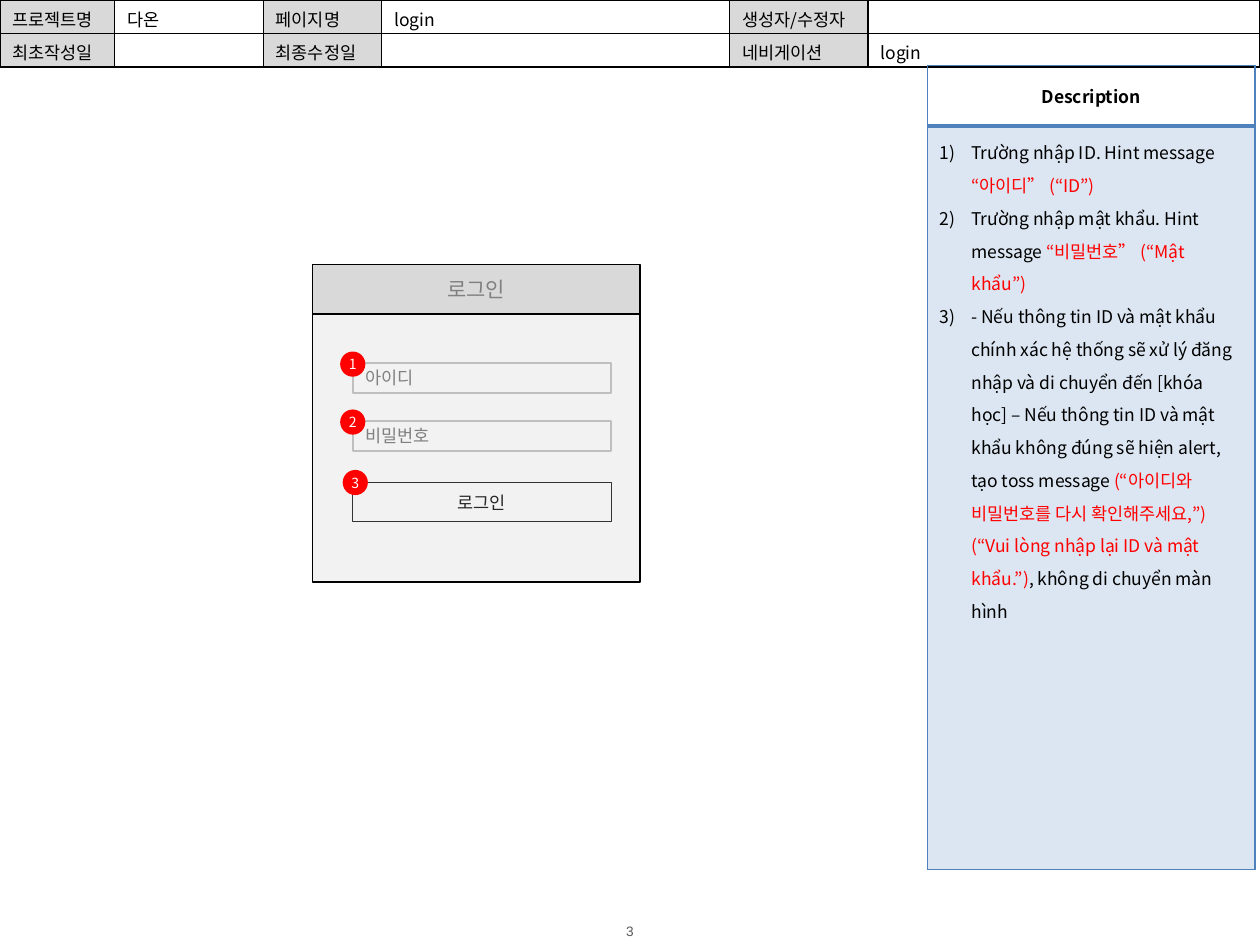
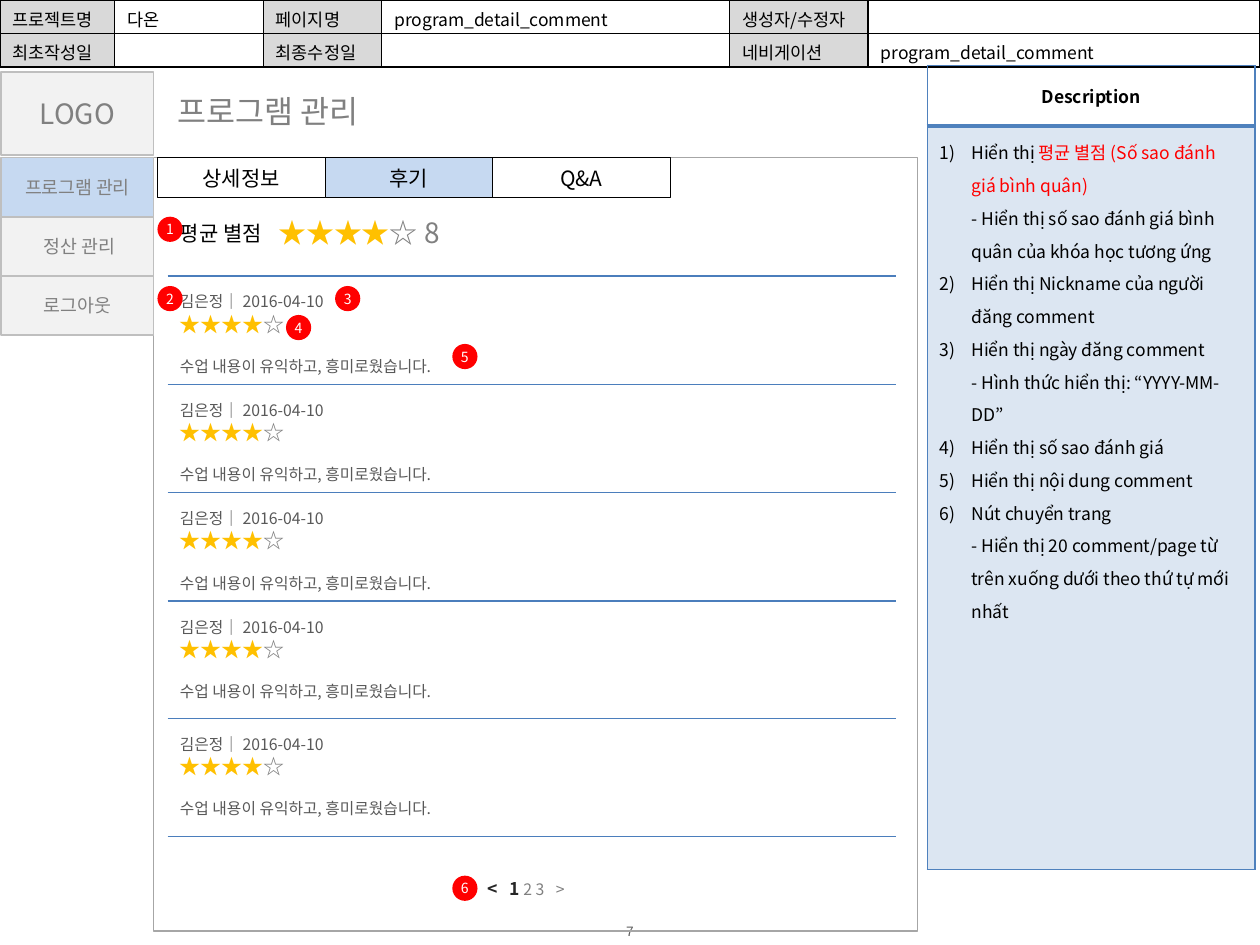
from lxml import etree
from pptx import Presentation
from pptx.dml.color import RGBColor
from pptx.enum.shapes import MSO_CONNECTOR, MSO_SHAPE
from pptx.enum.text import MSO_ANCHOR, PP_ALIGN
from pptx.oxml.ns import qn
from pptx.util import Inches, Pt

RECT, OVAL = MSO_SHAPE.RECTANGLE, MSO_SHAPE.OVAL
LINE = MSO_CONNECTOR.STRAIGHT
LEFT, MID = PP_ALIGN.LEFT, PP_ALIGN.CENTER
CENTRE = MSO_ANCHOR.MIDDLE

WIDTH, HEIGHT = Inches(10), Inches(7.5)
COL, ROW = WIDTH / 100, HEIGHT / 75
FONT = "Noto Sans CJK KR"
PLAIN = "{2D5ABB26-0587-4C30-8999-92F81FD0307C}"

BLACK, WHITE, RED, GOLD = "000000", "FFFFFF", "FF0000", "FFC000"
DARK, SLATE, GREY, SILVER = "262626", "595959", "808080", "BFBFBF"
HEAD, PALE, ACTIVE = "D9D9D9", "F2F2F2", "C6D9F1"
BLUE, TINT, RULE = "4F81BD", "DCE6F2", "4B7EBC"

HEAD_COLS = 9.1, 11.8, 9.4, 27.6, 11, 31.1
NOTE_BOX = 73.6, 5.2, 26, 63.8


def rgb(code):
    return RGBColor.from_string(code)


def place(x, y, w, h):
    """Turn grid columns and rows into slide lengths."""
    return round(x * COL), round(y * ROW), round(w * COL), round(h * ROW)


def ink(font, size=None, hue=None, bold=None, face=None, gap=None):
    if size:
        font.size = Pt(size)
    if hue:
        font.color.rgb = rgb(hue)
    if bold is not None:
        font.bold = bold
    if face:
        font.name = face
        etree.SubElement(font._element, qn("a:ea"), typeface=FONT)
    if gap:
        font._element.set("spc", str(gap))


def write(para, parts, size, hue, bold=False, face=FONT, align=LEFT):
    """Fill a paragraph with a string or with (text, style) parts."""
    para.alignment = align
    ink(para.font, size, hue, bold, face)
    if not parts:
        etree.SubElement(para._p, qn("a:endParaRPr"), sz=str(size * 100))
        return
    for text, style in [(parts, {})] if isinstance(parts, str) else parts:
        for i, line in enumerate(text.split("\n")):
            if i:
                para.add_line_break()
            if line:
                run = para.add_run()
                run.text = line
                ink(run.font, **style)


def block(slide, box, text="", size=10, hue=GREY, fill=None, line=None,
          weight=1, kind=RECT, **style):
    shape = slide.shapes.add_shape(kind, *place(*box))
    shape.shadow.inherit = False
    if fill:
        shape.fill.solid()
        shape.fill.fore_color.rgb = rgb(fill)
    else:
        shape.fill.background()
    if line:
        shape.line.color.rgb = rgb(line)
        shape.line.width = Pt(weight)
    else:
        shape.line.fill.background()
    if text:
        shape.text_frame.vertical_anchor = CENTRE
        write(shape.text_frame.paragraphs[0], text, size, hue, **style)
    return shape


def trim(frame):
    frame.margin_left = frame.margin_right = 0
    frame.margin_top = frame.margin_bottom = 0


def label(slide, box, parts, size, hue, wrap=True, **style):
    frame = slide.shapes.add_textbox(*place(*box)).text_frame
    frame.word_wrap = wrap
    write(frame.paragraphs[0], parts, size, hue, **style)
    return frame


def badges(slide, x, y, spots):
    """Number the spots, which are offsets from x and y."""
    for n, (dx, dy) in enumerate(spots, 1):
        dot = block(slide, (x + dx, y + dy, 2, 2), str(n), 8, WHITE, RED,
                    kind=OVAL, align=MID)
        trim(dot.text_frame)
        dot.text_frame.word_wrap = False


def grid(slide, x, y, cols, rows):
    shape = slide.shapes.add_table(len(rows), len(cols),
                                   *place(x, y, sum(cols), sum(rows)))
    table = shape.table
    table.first_row = table.horz_banding = False
    table._tbl.tblPr.find(qn("a:tableStyleId")).text = PLAIN
    for col, w in zip(table.columns, cols):
        col.width = round(w * COL)
    for row, h in zip(table.rows, rows):
        row.height = round(h * ROW)
    return table


def paint(cell, fill, hue, **edges):
    """Edges are widths in points, keyed L, R, T, B."""
    props = cell._tc.get_or_add_tcPr()
    for side in "LRTB":
        if side in edges:
            line = etree.SubElement(props, qn("a:ln" + side),
                                    w=str(Pt(edges[side])))
            solid = etree.SubElement(line, qn("a:solidFill"))
            etree.SubElement(solid, qn("a:srgbClr"), val=hue)
    if fill:
        cell.fill.solid()
        cell.fill.fore_color.rgb = rgb(fill)
    else:
        cell.fill.background()


def header(slide, page):
    texts = (("프로젝트명", "다온", "페이지명", page, "생성자/수정자", ""),
             ("최초작성일", "", "최종수정일", "", "네비게이션", page))
    table = grid(slide, 0, 0, HEAD_COLS, [2.65] * 2)
    for r, row in enumerate(texts):
        for c, text in enumerate(row):
            cell = table.cell(r, c)
            cell.margin_bottom = Inches(0.01)
            paint(cell, None if c % 2 else HEAD, BLACK, L=1, R=1, T=1, B=1)
            write(cell.text_frame.paragraphs[0], text, 10, BLACK)


def notes(slide, box, items):
    x, y, w, h = box
    table = grid(slide, x, y, [w], [4.8, h - 4.8])
    top, body = table.cell(0, 0), table.cell(1, 0)
    paint(top, None, BLUE, L=1, R=1, T=1, B=2)
    paint(body, TINT, BLUE, L=1, R=1, B=1)
    top.vertical_anchor = CENTRE
    write(top.text_frame.paragraphs[0], "Description", 10, BLACK, True,
          align=MID)
    frame = body.text_frame
    for i, item in enumerate(items):
        para = frame.add_paragraph() if i else frame.paragraphs[0]
        para.line_spacing = 1.3
        props = para._p.get_or_add_pPr()
        props.set("marL", str(Inches(0.25)))
        props.set("indent", str(-Inches(0.25)))
        etree.SubElement(props, qn("a:buFont"), typeface="+mj-lt")
        etree.SubElement(props, qn("a:buAutoNum"), type="arabicParenR")
        write(para, item, 10, BLACK)


def start(deck, number, page, items):
    """Add a slide with the parts that all slides share."""
    slide = deck.slides.add_slide(deck.slide_layouts[6])
    foot = label(slide, (45.7, 73.2, 8.6, 1.4), str(number), 7.8, SLATE,
                 face="Arial", align=MID)
    trim(foot)
    foot.vertical_anchor = CENTRE
    header(slide, page)
    notes(slide, NOTE_BOX, items)
    return slide


def login(slide, box):
    x, y, w, h = box
    bar = 3.9
    block(slide, (x, y + bar, w, h - bar), fill=PALE, line=BLACK)
    block(slide, (x, y, w, bar), "로그인", 12, fill=HEAD, line=BLACK, align=MID)
    for dy, text in ((7.8, "아이디"), (12.4, "비밀번호")):
        block(slide, (x + 3.2, y + dy, 20.5, 2.4), text, fill=PALE, line=SILVER)
    block(slide, (x + 3.2, y + 17.3, 20.5, 3.1), "로그인", hue=DARK, fill=PALE,
          line="333333", weight=0.5, face="Calibri", align=MID)
    badges(slide, x, y, ((2.2, 6.9), (2.2, 11.5), (2.4, 16.3)))


def menu(slide, box):
    x, y, w, h = box
    logo, gap, step = 6.6, 6.8, 4.7
    block(slide, (x, y, w, logo), "LOGO", 16, fill=PALE, line=SILVER, align=MID)
    for i, text in enumerate(("프로그램 관리", " 정산 관리", "로그아웃")):
        block(slide, (x, y + gap + i * step, w, step), text, 10.5,
              fill=PALE if i else ACTIVE, line=SILVER, align=MID)


def tabs(slide, x, y):
    for text, w, fill in (("상세정보", 13.3, None), ("후기", 13.3, ACTIVE),
                          ("Q&A", 14.1, None)):
        block(slide, (x, y, w, 3.2), text, 12, BLACK, fill, BLACK, 0.5,
              align=MID)
        x += w


def stars(slide, box, size, tail=""):
    label(slide, box, [("★★★★", {"hue": GOLD}), ("☆" + tail, {})], size, GREY)


def rule(slide, x, y, w):
    left, top, width, _ = place(x, y, w, 0)
    line = slide.shapes.add_connector(LINE, left, top, left + width, top)
    line.line.color.rgb = rgb(RULE)
    line.line.width = Pt(0.75)
    etree.SubElement(line._element.spPr, qn("a:effectLst"))


def comment(slide, x, y):
    frame = label(slide, (x, y + 0.8, 29.7, 8.6), "김은정｜ 2016-04-10", 9, SLATE)
    para = frame.add_paragraph()
    para.space_before = Pt(26)
    write(para, "수업 내용이 유익하고, 흥미로웠습니다.", 9, SLATE)
    stars(slide, (x, y + 2.3, 14.1, 3), 12)


def pager(slide, box):
    strong = {"size": 10, "hue": DARK, "bold": True}
    wide = {"gap": 450}
    label(slide, box, [("<", strong), (" ", strong | wide), ("1", strong),
                       (" 2 3", {}), (" ", wide), (">", {})],
          9, GREY, align=MID)


def reviews(slide, box):
    x, y, w, h = box
    inset = x + 1.1
    label(slide, (x + 0.9, y - 5.7, 18.1, 4), "프로그램 관리", 18, GREY, False)
    block(slide, box, line="A6A6A6", weight=0.75)
    tabs(slide, x + 0.3, y)
    label(slide, (inset, y + 4.5, 12.5, 3), "평균 별점", 12, BLACK)
    stars(slide, (x + 8.9, y + 4.1, 17.2, 3.7), 16, " 8")
    lines = [y + dy for dy in (9.4, 18, 26.6, 35.2, 44.5, 53.9)]
    for top in lines:
        rule(slide, inset, top, w - 2.8)
    for top in lines[:-1]:
        comment(slide, inset, top)
    pager(slide, (x + 22.1, y + 56.7, 14.9, 2.7))
    badges(slide, x, y, ((0.3, 4.7), (0.3, 10.2), (14.4, 10.2), (10.5, 12.5),
                         (23.7, 14.8), (23.7, 57)))


def main():
    deck = Presentation()
    deck.slide_width, deck.slide_height = WIDTH, HEIGHT
    red = {"hue": RED}
    slide = start(deck, 3, "login", (
        [("Trường nhập ID. Hint message ", {}), ("“아이디” (“ID”)", red)],
        [("Trường nhập mật khẩu. Hint message ", {}),
         ("“비밀번호” (“Mật khẩu”)", red)],
        [("- Nếu thông tin ID và mật khẩu chính xác hệ thống sẽ xử lý đăng "
          "nhập và di chuyển đến [khóa học] – Nếu thông tin ID và mật khẩu "
          "không đúng sẽ hiện alert, tạo toss message ", {}),
         ("(“아이디와 비밀번호를 다시 확인해주세요,”) "
          "(“Vui lòng nhập lại ID và mật khẩu.”)", red),
         (", không di chuyển màn hình", {})]))
    login(slide, (24.8, 21, 26, 25.2))

    slide = start(deck, 7, "program_detail_comment", (
        [("Hiển thị ", {}), ("평균 별점 (Số sao đánh giá bình quân)\n", red),
         ("- Hiển thị số sao đánh giá bình quân của khóa học tương ứng", {})],
        "Hiển thị Nickname của người đăng comment",
        "Hiển thị ngày đăng comment\n- Hình thức hiển thị: “YYYY-MM-DD”",
        "Hiển thị số sao đánh giá",
        "Hiển thị nội dung comment",
        "Nút chuyển trang\n- Hiển thị 20 comment/page từ trên xuống dưới "
        "theo thứ tự mới nhất"))
    reviews(slide, (12.2, 12.5, 60.6, 61.4))
    menu(slide, (0.1, 5.7, 12.1, 20.9))
    deck.save("out.pptx")


if __name__ == "__main__":
    main()
